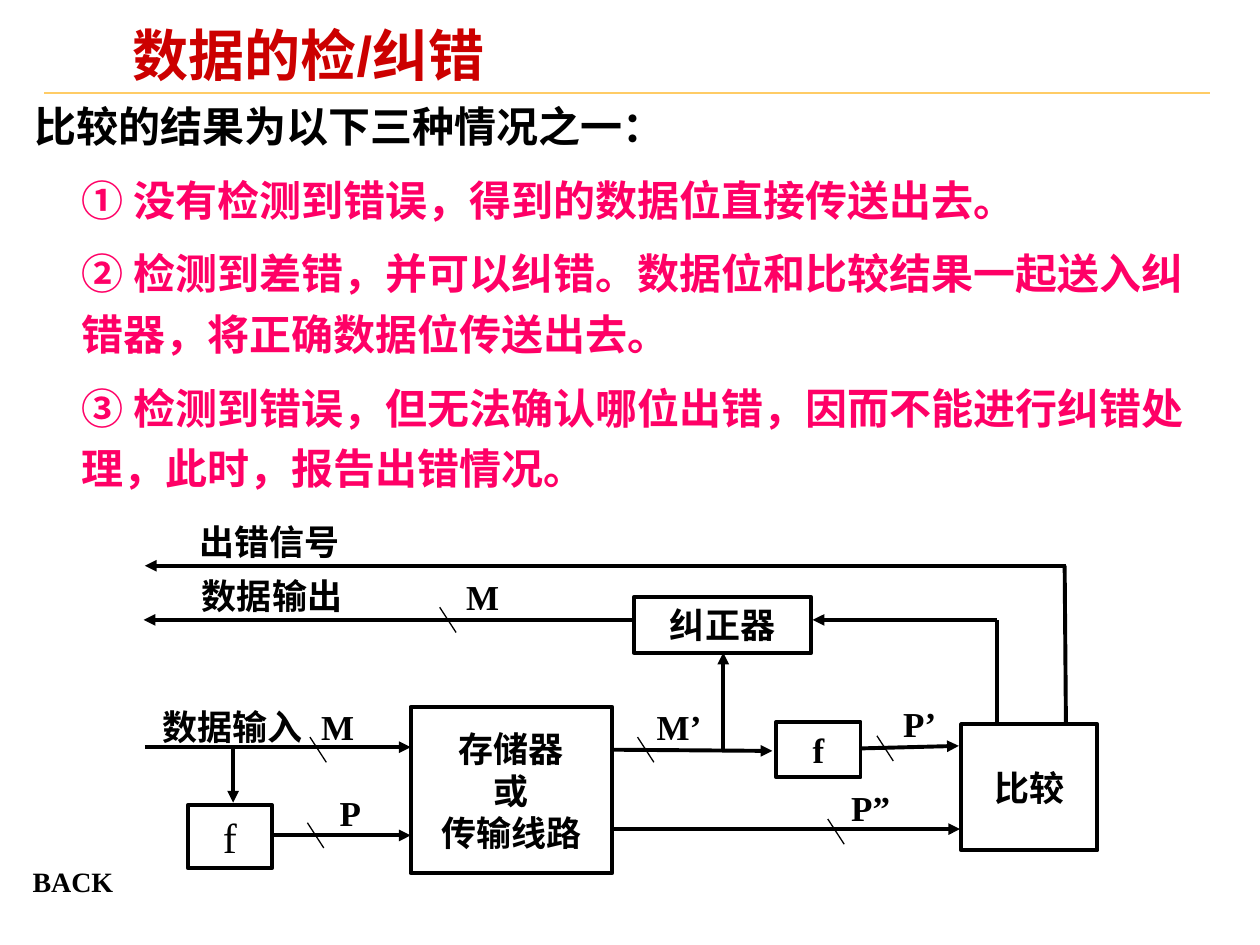
from dataclasses import dataclass
from lxml import etree
from pptx import Presentation
from pptx.dml.color import RGBColor
from pptx.enum import shapes, text
from pptx.oxml.ns import qn
from pptx.util import Inches, Pt


@dataclass(frozen=True)
class Theme:
    title: str = "CC0000"
    ink: str = "000000"
    item: str = "FF0066"
    rule: str = "FFCC66"
    heading_font: str = "Arial"
    diagram_font: str = "Times New Roman"
    title_size: int = 32
    body_size: int = 24
    label_size: int = 20
    link_size: int = 16
    wire: float = 2.25
    slash: float = 0.75


T = Theme()

TITLE = "数据的检/纠错"
INTRO = "比较的结果为以下三种情况之一："
ITEMS = [
    "① 没有检测到错误，得到的数据位直接传送出去。",
    "② 检测到差错，并可以纠错。数据位和比较结果一起送入纠错器，将正确数据位传送出去。",
    "③ 检测到错误，但无法确认哪位出错，因而不能进行纠错处理，此时，报告出错情况。",
]

BLOCKS = [
    (["存储器", "或", "传输线路"], (3.26, 5.61, 1.6, 1.32), T.label_size, True),
    (["f"], (1.49, 6.39, 0.67, 0.5), T.body_size, False),
    (["f"], (6.16, 5.73, 0.67, 0.44), T.label_size, True),
    (["比较"], (7.63, 5.75, 1.08, 1), T.label_size, True),
    (["纠正器"], (5.03, 4.74, 1.41, 0.44), T.label_size, True),
]
ARROWS = [
    (1.15, 5.93, 3.26, 5.93),
    (1.85, 5.93, 1.85, 6.37),
    (2.17, 6.63, 3.26, 6.63),
    (4.86, 5.95, 6.13, 5.96),
    (4.87, 6.58, 7.62, 6.58),
    (6.83, 5.94, 7.61, 5.92),
    (5.74, 5.95, 5.74, 5.18),
    (7.91, 4.92, 6.45, 4.92),
    (5.03, 4.92, 1.14, 4.92),
    (8.46, 4.49, 1.15, 4.49),
]
PLAIN_WIRES = [(7.91, 5.75, 7.91, 4.92), (8.45, 4.49, 8.46, 5.75)]
BUS_LABELS = [
    ("M", (2.43, 5.6), (2.46, 5.85)),
    ("P", (2.53, 6.28), (2.44, 6.53)),
    ("M’", (5.14, 5.6), (5.06, 5.85)),
    ("P”", (6.66, 6.24), (6.57, 6.5)),
    ("P’", (7.05, 5.58), (6.96, 5.84)),
    ("M", (3.58, 4.57), (3.49, 4.82)),
]
BUS_SIZE = (0.5, 0.33)
SLASH = (0.13, 0.2)
SIGNALS = [
    ("出错信号", (1.41, 4.08, 1.46, 0.44)),
    ("数据输出", (1.43, 4.51, 1.46, 0.44)),
    ("数据输入", (1.17, 5.6, 1.35, 0.33)),
]


def rgb(value):
    return RGBColor.from_string(value)


def style(p, size, color=T.ink, name=T.diagram_font, bold=True):
    p.font.size, p.font.name, p.font.bold = Pt(size), name, bold
    p.font.color.rgb = rgb(color)


def frame(sp, x=0.0, y=0.0, anchor=text.MSO_ANCHOR.MIDDLE, wrap=True):
    tf = sp.text_frame
    tf.margin_left = tf.margin_right = Inches(x)
    tf.margin_top = tf.margin_bottom = Inches(y)
    tf.vertical_anchor, tf.word_wrap = anchor, wrap
    return tf


def write_centred(sp, lines, size=T.label_size, bold=True):
    tf = frame(sp, wrap=False)
    tf.text = "\n".join(lines)
    for p in tf.paragraphs:
        p.alignment = text.PP_ALIGN.CENTER
        style(p, size, bold=bold)


def textbox(s, box):
    return s.shapes.add_textbox(*map(Inches, box))


def line(s, ends, width=T.wire, color=T.ink, arrow=False):
    cn = s.shapes.add_connector(shapes.MSO_CONNECTOR.STRAIGHT, *map(Inches, ends))
    cn.line.width = Pt(width)
    cn.line.color.rgb = rgb(color)
    if arrow:
        etree.SubElement(cn.line._get_or_add_ln(), qn("a:tailEnd"), type="triangle")
    etree.SubElement(cn._element.spPr, qn("a:effectLst"))


def add_title(s):
    sp = s.shapes.title
    sp.left, sp.top, sp.width, sp.height = map(Inches, (0.98, 0.21, 6.53, 0.52))
    tf = frame(sp, 0.07, 0.03, text.MSO_ANCHOR.TOP)
    tf.auto_size = text.MSO_AUTO_SIZE.NONE
    tf.text = TITLE
    p = tf.paragraphs[0]
    p.alignment, p.line_spacing = text.PP_ALIGN.LEFT, 0.87
    style(p, T.title_size, T.title, T.heading_font)


def add_body(s):
    tf = frame(textbox(s, (0.2, 0.77, 9.52, 3.17)), 0.07, 0.03, text.MSO_ANCHOR.TOP)
    tf.text = "\n".join([INTRO] + ITEMS)
    intro, *items = tf.paragraphs
    style(intro, T.body_size, name=T.heading_font)
    for p in items:
        p._p.get_or_add_pPr().set("marL", str(Inches(0.38)))
        p.line_spacing, p.space_before = 1.2, Pt(7.5)
        style(p, T.body_size, T.item, T.heading_font)


def add_diagram(s):
    for lines, box, size, bold in BLOCKS:
        sp = s.shapes.add_shape(shapes.MSO_SHAPE.RECTANGLE, *map(Inches, box))
        sp.shadow.inherit = False
        sp.fill.background()
        sp.line.width = Pt(T.wire)
        sp.line.color.rgb = rgb(T.ink)
        write_centred(sp, lines, size, bold)
    for ends in ARROWS:
        line(s, ends, arrow=True)
    for ends in PLAIN_WIRES:
        line(s, ends)
    for label, corner, (x, y) in BUS_LABELS:
        write_centred(textbox(s, corner + BUS_SIZE), [label])
        line(s, (x, y, x + SLASH[0], y + SLASH[1]), T.slash)
    for label, box in SIGNALS:
        write_centred(textbox(s, box), [label])


def main():
    prs = Presentation()
    prs.slide_width, prs.slide_height = Inches(10), Inches(7.5)
    s = prs.slides.add_slide(prs.slide_layouts[5])
    line(s, (0.35, 0.74, 9.6, 0.74), 1, T.rule)
    add_title(s)
    add_body(s)
    tf = frame(textbox(s, (0.16, 6.81, 0.89, 0.37)), 0.1, 0.05, wrap=False)
    tf.text = "BACK"
    style(tf.paragraphs[0], T.link_size)
    add_diagram(s)
    prs.save("out.pptx")


if __name__ == "__main__":
    main()
